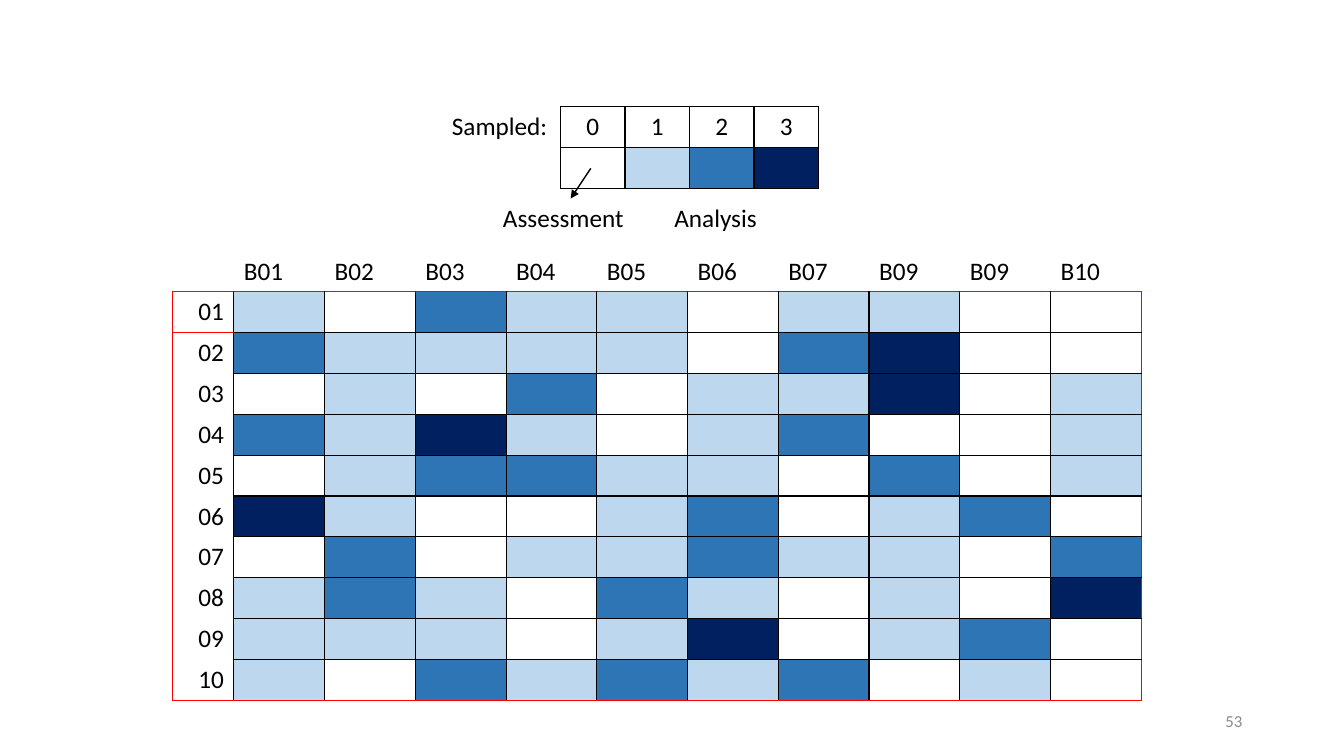
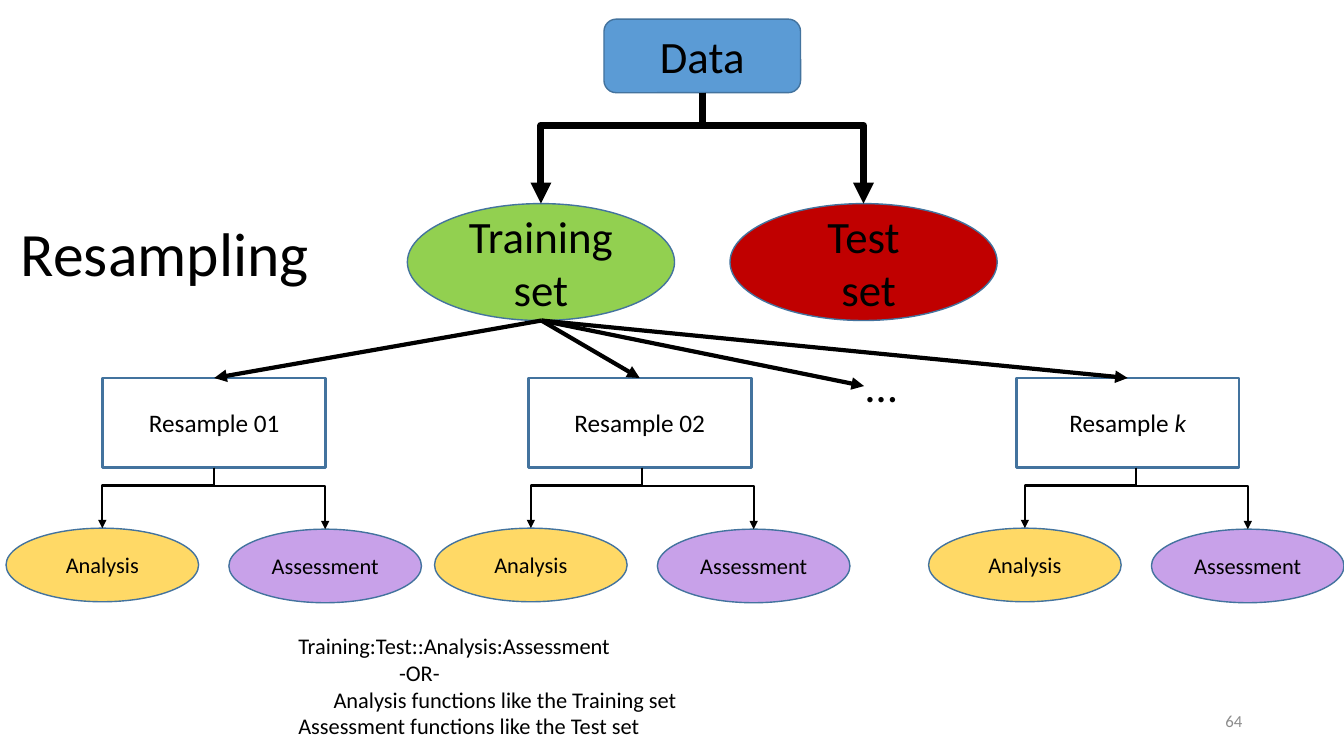
from lxml.etree import SubElement
from pptx import Presentation
from pptx.dml.color import RGBColor
from pptx.enum.shapes import MSO_CONNECTOR, MSO_SHAPE
from pptx.enum.text import MSO_ANCHOR, PP_ALIGN
from pptx.oxml.ns import qn
from pptx.util import Emu, Inches, Pt


class Theme:
    font = "Calibri"
    ink, red, outline, muted = "000000", "FF0000", "43739E", "8C8C8C"
    counts = [None, "BDD7EE", "2E75B6", "002060"]
    data, training, test = "5B9BD5", "92D050", "C00000"
    analysis, assessment = "FFD966", "C8A1E9"
    title, large, body, small, footer = 44, 32, 18, 16, 12
    plain_table = "{2D5ABB26-0587-4C30-8999-92F81FD0307C}"


HEADINGS = "B01 B02 B03 B04 B05 B06 B07 B09 B09 B10".split()
# One string per row; each digit says how often that block was sampled.
SAMPLED = [
    "1021101100", "2111102300", "0102011301", "2131012001", "0122110201",
    "3100120120", "0201121102", "1210210103", "1110130120", "1021212010",
]
LEGEND = ["Sampled:", "0", "1", "2", "3"]
LEGEND_NOTES = [("Assessment", 4.89), ("Analysis", 6.59)]

# Label, left edge of the box, left edge of its pair of ovals
RESAMPLES = [
    ("Resample 01", 1.02, 0.06),
    ("Resample 02", 5.24, 4.31),
    ([("Resample ", False), ("k", True)], 10.08, 9.21),
]
# Label, fill, offset from the pair's left edge, top
OUTCOMES = [
    ("Analysis", Theme.analysis, 0, 5.24),
    ("Assessment", Theme.assessment, 2.21, 5.25),
]
# Text and left indent in inches
SUMMARY = [
    ("Training:Test::Analysis:Assessment", 0),
    ("-OR-", 1),
    ("Analysis functions like the Training set", 0.35),
    ("Assessment functions like the Test set", 0),
]
ROW_HEIGHT = 4.46 / 11


def rgb(code):
    return RGBColor.from_string(code)


def write(frame, paragraphs, size=Theme.body, color=Theme.ink,
          align=PP_ALIGN.LEFT, anchor=MSO_ANCHOR.TOP):
    """Fill a frame; a paragraph is a string or a list of (text, italic)."""
    frame.word_wrap = True
    frame.vertical_anchor = anchor
    for index, content in enumerate(paragraphs):
        para = frame.paragraphs[0] if index == 0 else frame.add_paragraph()
        para.alignment = align
        spans = [(content, None)] if isinstance(content, str) else content
        for text, italic in spans:
            span = para.add_run()
            span.text = text
            span.font.color.rgb = rgb(color)
            style = {"name": Theme.font, "size": Pt(size), "italic": italic}
            for name, value in style.items():
                setattr(span.font, name, value)


def add_text(page, at, paragraphs, **style):
    box = page.shapes.add_textbox(*map(Inches, at))
    write(box.text_frame, paragraphs, **style)
    return box.text_frame


def add_page(deck, number):
    page = deck.slides.add_slide(deck.slide_layouts[6])
    add_text(page, (9.42, 6.95, 3, 0.4), [number], size=Theme.footer,
             color=Theme.muted, align=PP_ALIGN.RIGHT, anchor=MSO_ANCHOR.MIDDLE)
    return page


def add_node(page, kind, at, paragraphs, size, fill=None, weight=1):
    node = page.shapes.add_shape(kind, *map(Inches, at))
    node.shadow.inherit = False
    if fill:
        node.fill.solid()
        node.fill.fore_color.rgb = rgb(fill)
    else:
        node.fill.background()
    node.line.color.rgb = rgb(Theme.outline)
    node.line.width = Pt(weight)
    write(node.text_frame, paragraphs, size=size, align=PP_ALIGN.CENTER,
          anchor=MSO_ANCHOR.MIDDLE)
    return node


def style_arrow(arrow, weight):
    arrow.line.color.rgb = rgb(Theme.ink)
    arrow.line.width = Pt(weight)
    SubElement(arrow.line._get_or_add_ln(), qn("a:tailEnd"), type="triangle")
    SubElement(arrow._element.spPr, qn("a:effectLst"))


def add_arrow(page, start, end, weight):
    arrow = page.shapes.add_connector(MSO_CONNECTOR.STRAIGHT,
                                      *map(Inches, start + end))
    style_arrow(arrow, weight)
    return arrow


def top_middle(node):
    return node.left + node.width // 2, node.top


def add_fork(page, start, nodes, weight):
    """Draw elbow arrows that go down, across and down to each node's top."""
    start_x, start_y = start
    for node in nodes:
        end_x, end_y = top_middle(node)
        length, spread = end_y - start_y, abs(end_x - start_x)
        left = (start_x + end_x - length) // 2
        top = (start_y + end_y - spread) // 2
        arrow = page.shapes.add_connector(
            MSO_CONNECTOR.ELBOW, Emu(left), Emu(top),
            Emu(left + length), Emu(top + spread))
        transform = arrow._element.spPr.find(qn("a:xfrm"))
        rightward = end_x > start_x
        transform.set("rot", str((270 if rightward else 90) * 60000))
        if rightward:
            transform.set("flipH", "1")
        geometry = arrow._element.spPr.find(qn("a:prstGeom"))
        guides = geometry.find(qn("a:avLst"))
        if guides is None:
            guides = SubElement(geometry, qn("a:avLst"))
        SubElement(guides, qn("a:gd"), name="adj1", fmla="val 29400")
        style_arrow(arrow, weight)


def add_plain_table(page, left, top, widths, row_count):
    frame = page.shapes.add_table(
        row_count, len(widths), Inches(left), Inches(top),
        Inches(sum(widths)), Inches(ROW_HEIGHT * row_count))
    table = frame.table
    table.first_row = table.horz_banding = False
    frame._element.find(".//" + qn("a:tableStyleId")).text = Theme.plain_table
    for column, width in zip(table.columns, widths):
        column.width = Inches(width)
    for row in table.rows:
        row.height = Inches(ROW_HEIGHT)
    return table


def paint(cell, borders, fill=None):
    """Set borders, a dict of side (L, R, T, B) to colour, then the fill."""
    properties = cell._tc.get_or_add_tcPr()
    for side in "LRTB":
        if side in borders:
            line = SubElement(properties, qn("a:ln" + side), w=str(Pt(1)))
            solid = SubElement(line, qn("a:solidFill"))
            SubElement(solid, qn("a:srgbClr"), val=borders[side])
    if fill:
        cell.fill.solid()
        cell.fill.fore_color.rgb = rgb(fill)
    else:
        cell.fill.background()


def grid_borders(row, column, last_row, last_column):
    """Red around the labelled grid, black between its cells."""
    if row == 0:
        return {"B": Theme.red}
    borders = {"R": Theme.ink} if column == 0 else dict.fromkeys("LRTB", Theme.ink)
    edges = {"L": column == 0, "R": column == last_column,
             "T": row == 1, "B": row == last_row}
    borders.update({side: Theme.red for side, edge in edges.items() if edge})
    return borders


def build_sampling_page(deck):
    page = add_page(deck, "53")
    last_row, last_column = len(SAMPLED), len(HEADINGS)
    grid = add_plain_table(page, 1.71, 2.49, [0.61] + [0.9] * last_column,
                           last_row + 1)
    for row in range(last_row + 1):
        for column in range(last_column + 1):
            cell = grid.cell(row, column)
            fill = None
            if row and column:
                fill = Theme.counts[int(SAMPLED[row - 1][column - 1])]
            elif row:
                write(cell.text_frame, [f"{row:02d}"], align=PP_ALIGN.RIGHT)
            elif column:
                write(cell.text_frame, [HEADINGS[column - 1]])
            paint(cell, grid_borders(row, column, last_row, last_column), fill)

    legend = add_plain_table(page, 4.35, 1.06, [1.21] + [0.64] * 4, 2)
    for column, label in enumerate(LEGEND):
        borders = dict.fromkeys("LRTB" if column else "R", Theme.ink)
        heading, swatch = legend.cell(0, column), legend.cell(1, column)
        write(heading.text_frame, [label], align=PP_ALIGN.CENTER)
        heading.vertical_anchor = MSO_ANCHOR.MIDDLE
        paint(heading, borders)
        paint(swatch, borders, Theme.counts[column - 1] if column else None)
    add_arrow(page, (5.86, 1.67), (5.66, 1.97), 1)
    for note, left in LEGEND_NOTES:
        add_text(page, (left, 1.96, 1.55, 0.4), [note])


def build_resampling_page(deck):
    page = add_page(deck, "64")
    title = add_text(page, (0.11, 1.82, 11.5, 1.45), ["Resampling"],
                     size=Theme.title, anchor=MSO_ANCHOR.MIDDLE)
    title.paragraphs[0].line_spacing = 0.9

    data = add_node(page, MSO_SHAPE.ROUNDED_RECTANGLE, (5.99, 0.19, 1.95, 0.73),
                    ["Data"], Theme.large, Theme.data)
    training = add_node(page, MSO_SHAPE.OVAL, (4.04, 2.02, 2.65, 1.16),
                        ["Training set"], Theme.large, Theme.training)
    test = add_node(page, MSO_SHAPE.OVAL, (7.24, 2.02, 2.65, 1.16),
                    ["Test", " set"], Theme.large, Theme.test)
    add_fork(page, (top_middle(data)[0], data.top + data.height),
             [training, test], 5)

    source = (5.37, 3.18)
    for label, box_left, pair_left in RESAMPLES:
        ovals = [add_node(page, MSO_SHAPE.OVAL,
                          (pair_left + offset, top, 1.91, 0.73),
                          [name], Theme.small, fill)
                 for name, fill, offset, top in OUTCOMES]
        box = add_node(page, MSO_SHAPE.RECTANGLE, (box_left, 3.75, 2.21, 0.89),
                       [label], Theme.body, weight=2)
        middle = sum(top_middle(oval)[0] for oval in ovals) // 2
        add_fork(page, (middle, box.top + box.height), ovals, 1.5)
        arrow = add_arrow(page, source, (box_left + 1.1, 3.75), 3)
        arrow.end_connect(box, 0)
    add_arrow(page, source, (8.57, 3.83), 3)
    add_text(page, (8.49, 3.5, 1.29, 0.64), ["…"], size=Theme.large)

    summary = add_text(page, (2.86, 6.22, 5.91, 1.18),
                       [text for text, _ in SUMMARY], size=Theme.small)
    for para, (_, indent) in zip(summary.paragraphs, SUMMARY):
        para._p.get_or_add_pPr().set("marL", str(Inches(indent)))


def main():
    deck = Presentation()
    deck.slide_width, deck.slide_height = Inches(13.33), Inches(7.5)
    build_sampling_page(deck)
    build_resampling_page(deck)
    deck.save("out.pptx")


if __name__ == "__main__":
    main()
